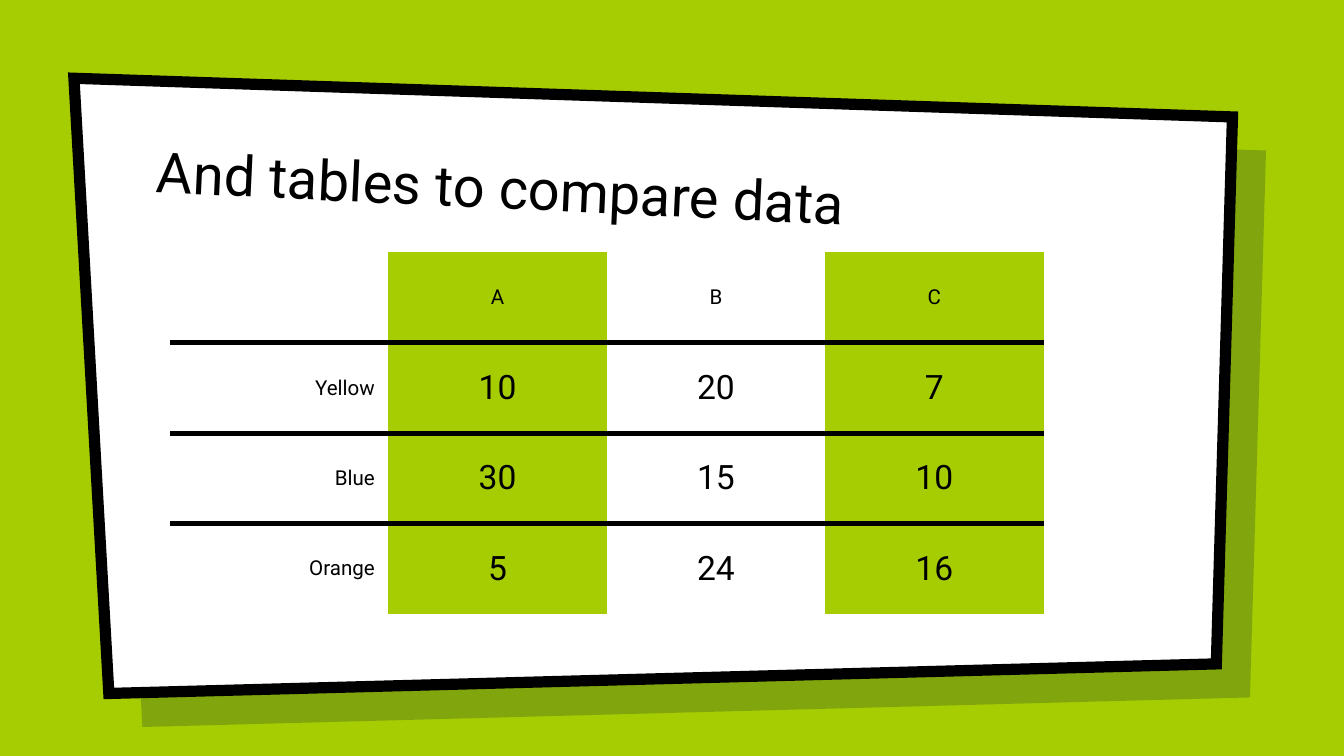
"""Build a slide with a slanted panel and a table comparing three columns."""
from lxml.etree import SubElement
from pptx import Presentation
from pptx.dml.color import RGBColor
from pptx.enum.text import MSO_ANCHOR as Anchor, MSO_AUTO_SIZE as AutoSize, PP_ALIGN as Align
from pptx.oxml.ns import qn
from pptx.util import Inches, Pt

LIME, BLACK, WHITE, NAVY = "A6CD02", "000000", "FFFFFF", "001936"
NO_STYLE = "{2D5ABB26-0587-4C30-8999-92F81FD0307C}"


def paint(fill, color):
    fill.solid()
    fill.fore_color.rgb = RGBColor.from_string(color)


def write(paragraph, words, size, align):
    paragraph.alignment = align
    run = paragraph.add_run()
    run.text = words
    run.font.name = "Roboto"
    run.font.size = Pt(size)
    paint(run.font.fill, BLACK)


deck = Presentation()
deck.slide_width = Inches(10)
deck.slide_height = deck.slide_width * 9 // 16
across, down = deck.slide_width / 100, deck.slide_height / 100
slide = deck.slides.add_slide(deck.slide_layouts[5])
paint(slide.background.fill, LIME)

corners = [(5.5, 10.35), (91.7, 15.47), (90.5, 87.82), (8.1, 91.73)]
panels = []
for shift_x, shift_y, color in [(2.5, 4.44, NAVY), (0, 0, WHITE)]:
    points = [(round((x + shift_x) * across), round((y + shift_y) * down)) for x, y in corners]
    outline = slide.shapes.build_freeform(*points[0])
    outline.add_line_segments(points[1:])
    panel = outline.convert_to_shape()
    panel.shadow.inherit = False
    paint(panel.fill, color)
    panels.append(panel)
shade, card = panels
shade.line.fill.background()
tint = shade.element.spPr.find(qn("a:solidFill"))[0]
SubElement(tint, qn("a:alpha"), val="22000")
paint(card.line.fill, BLACK)
card.line.width = Pt(6)
SubElement(card.line.fill._xPr, qn("a:miter"), lim="800000")

heading = slide.shapes.title
card.element.addnext(heading.element)
heading.left, heading.width = round(10.65 * across), round(76.9 * across)
heading.top, heading.height = round(17.1 * down), round(14.76 * down)
heading.rotation = 2.7
frame = heading.text_frame
frame.margin_left = frame.margin_right = frame.margin_top = frame.margin_bottom = Inches(0.1)
frame.word_wrap = True
frame.auto_size = AutoSize.NONE
frame.vertical_anchor = Anchor.BOTTOM
write(frame.paragraphs[0], "And tables to compare data", 30, Align.LEFT)

records = [
    ["", "A", "B", "C"],
    ["Yellow", "10", "20", "7"],
    ["Blue", "30", "15", "10"],
    ["Orange", "5", "24", "16"],
]
last = len(records) - 1
comparison = slide.shapes.add_table(
    len(records), len(records[0]),
    round(12.65 * across), round(33.4 * down), round(65 * across), round(47.82 * down),
).table
comparison.first_row = comparison.horz_banding = False
comparison._tbl.tblPr.find(qn("a:tableStyleId")).text = NO_STYLE

for row, record in enumerate(records):
    for column, words in enumerate(record):
        cell = comparison.cell(row, column)
        cell.margin_left = cell.margin_right = Inches(0.1)
        cell.margin_top = cell.margin_bottom = Inches(0.07)
        cell.vertical_anchor = Anchor.MIDDLE
        for edge, inner in [("a:lnT", row > 0), ("a:lnB", row < last)]:
            if inner:
                rule = SubElement(cell._tc.get_or_add_tcPr(), qn(edge), w=str(Pt(3)))
                ink = SubElement(rule, qn("a:solidFill"))
                SubElement(ink, qn("a:srgbClr"), val=BLACK)
        if column % 2:
            paint(cell.fill, LIME)
        else:
            cell.fill.background()
        if words:
            size = 18 if row and column else 11
            align = Align.CENTER if column else Align.RIGHT
            write(cell.text_frame.paragraphs[0], words, size, align)

deck.save("out.pptx")
